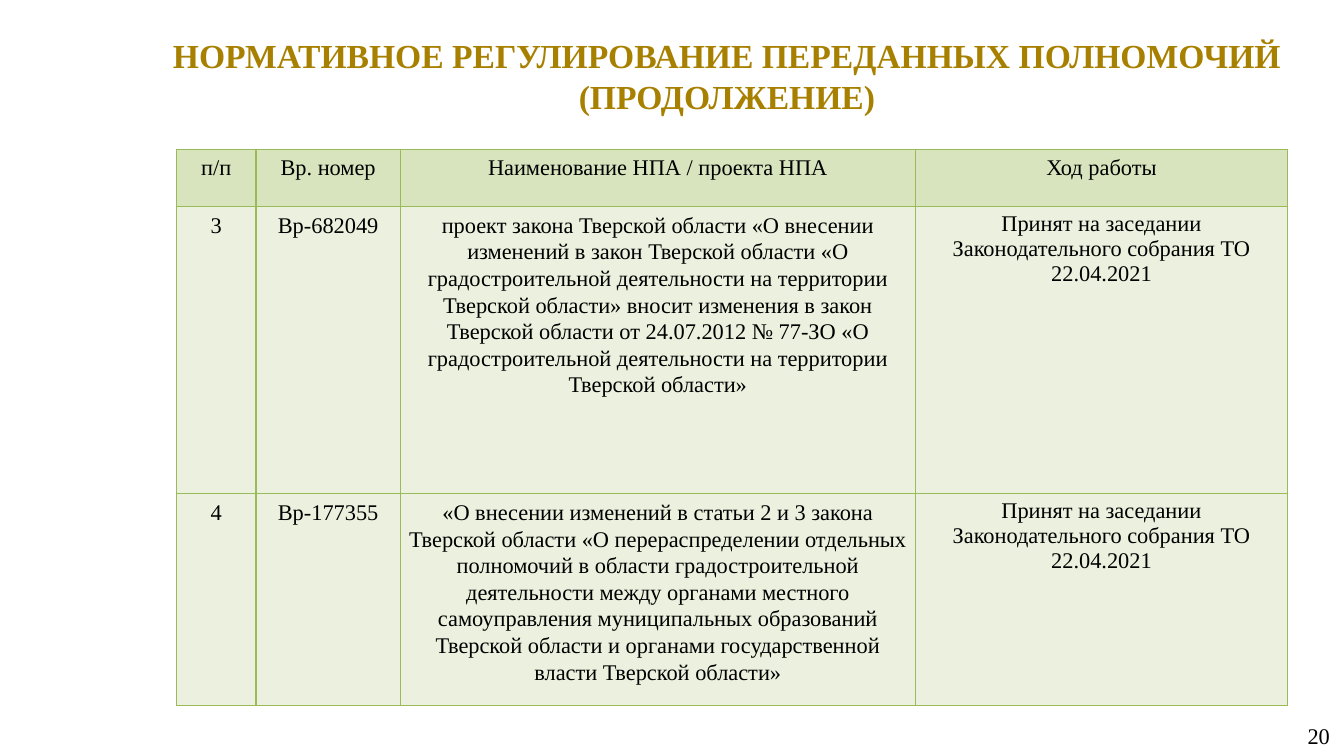
from lxml.etree import SubElement
from pptx import Presentation
from pptx.dml.color import RGBColor
from pptx.enum.text import MSO_ANCHOR, PP_ALIGN
from pptx.oxml.ns import qn
from pptx.util import Inches, Pt

FONT = "Times New Roman"
GOLD, BLACK = "A88000", "000000"
HEADER_FILL, BODY_FILL, BORDER = "D7E4BD", "EBF1DE", "9BBB59"

COLUMN_WIDTHS = [0.79, 1.43, 5.11, 3.69]
ROW_HEIGHTS = [0.57, 2.85, 2.1]
STATUS_COLUMN = 3
STATUS = "Принят на заседании Законодательного собрания ТО 22.04.2021"
ROWS = [
    ["п/п", "Вр. номер", "Наименование НПА / проекта НПА", "Ход работы"],
    ["3", "Вр-682049",
     "проект закона Тверской области «О внесении изменений в закон Тверской "
     "области «О градостроительной деятельности на территории Тверской области» "
     "вносит изменения в закон Тверской области от 24.07.2012 № 77-ЗО "
     "«О градостроительной деятельности на территории Тверской области»",
     STATUS],
    ["4", "Вр-177355",
     "«О внесении изменений в статьи 2 и 3 закона Тверской области "
     "«О перераспределении отдельных полномочий в области градостроительной "
     "деятельности между органами местного самоуправления муниципальных "
     "образований Тверской области и органами государственной власти "
     "Тверской области»",
     STATUS],
]


def color(value):
    return RGBColor.from_string(value)


def write(frame, text, size, tint, align, bold=False):
    paragraph = frame.paragraphs[0]
    paragraph.text = text
    paragraph.alignment = align
    font = paragraph.font
    font.name, font.size, font.bold = FONT, Pt(size), bold
    font.color.rgb = color(tint)
    return paragraph


def add_text(page, place, text, size, tint, align, anchor=MSO_ANCHOR.TOP, bold=False):
    box = page.shapes.add_textbox(*map(Inches, place))
    frame = box.text_frame
    frame.word_wrap = True
    frame.vertical_anchor = anchor
    frame.margin_left = frame.margin_right = Inches(0.13)
    frame.margin_top = frame.margin_bottom = Inches(0.07)
    write(frame, text, size, tint, align, bold)


def add_borders(cell):
    properties = cell._tc.get_or_add_tcPr()
    for position, side in enumerate(("lnL", "lnR", "lnT", "lnB")):
        line = SubElement(properties, qn(f"a:{side}"), w=str(Pt(0.96)))
        fill = SubElement(line, qn("a:solidFill"))
        SubElement(fill, qn("a:srgbClr"), val=BORDER)
        # Borders must come before the cell fill
        properties.insert(position, line)


def fill_cell(cell, text, fill, spaced):
    cell.fill.solid()
    cell.fill.fore_color.rgb = color(fill)
    cell.margin_left = cell.margin_right = Inches(0.02)
    cell.margin_top = cell.margin_bottom = Inches(0.05)
    paragraph = write(cell.text_frame, text, 16, BLACK, PP_ALIGN.CENTER)
    if spaced:
        paragraph.line_spacing = 1.07
        paragraph.space_after = Pt(8)
    add_borders(cell)


def add_acts_table(page, left, top):
    table = page.shapes.add_table(
        len(ROWS), len(COLUMN_WIDTHS), Inches(left), Inches(top),
        Inches(sum(COLUMN_WIDTHS)), Inches(sum(ROW_HEIGHTS))).table
    for column, width in zip(table.columns, COLUMN_WIDTHS):
        column.width = Inches(width)
    for row, height in zip(table.rows, ROW_HEIGHTS):
        row.height = Inches(height)
    for row_index, texts in enumerate(ROWS):
        header = row_index == 0
        for column_index, text in enumerate(texts):
            fill_cell(table.cell(row_index, column_index), text,
                      HEADER_FILL if header else BODY_FILL,
                      header or column_index != STATUS_COLUMN)


def main():
    deck = Presentation()
    deck.slide_width, deck.slide_height = Inches(13.33), Inches(7.5)
    page = deck.slides.add_slide(deck.slide_layouts[6])

    # Title
    add_text(page, (1.47, 0.28, 11.48, 0.93),
             "НОРМАТИВНОЕ РЕГУЛИРОВАНИЕ ПЕРЕДАННЫХ ПОЛНОМОЧИЙ (ПРОДОЛЖЕНИЕ)",
             24, GOLD, PP_ALIGN.CENTER, bold=True)

    # Page number
    add_text(page, (10.21, 7.1, 3.11, 0.4), "20", 16, BLACK,
             PP_ALIGN.RIGHT, MSO_ANCHOR.MIDDLE)

    # Legal acts
    add_acts_table(page, 1.75, 1.48)

    deck.save("out.pptx")


if __name__ == "__main__":
    main()
